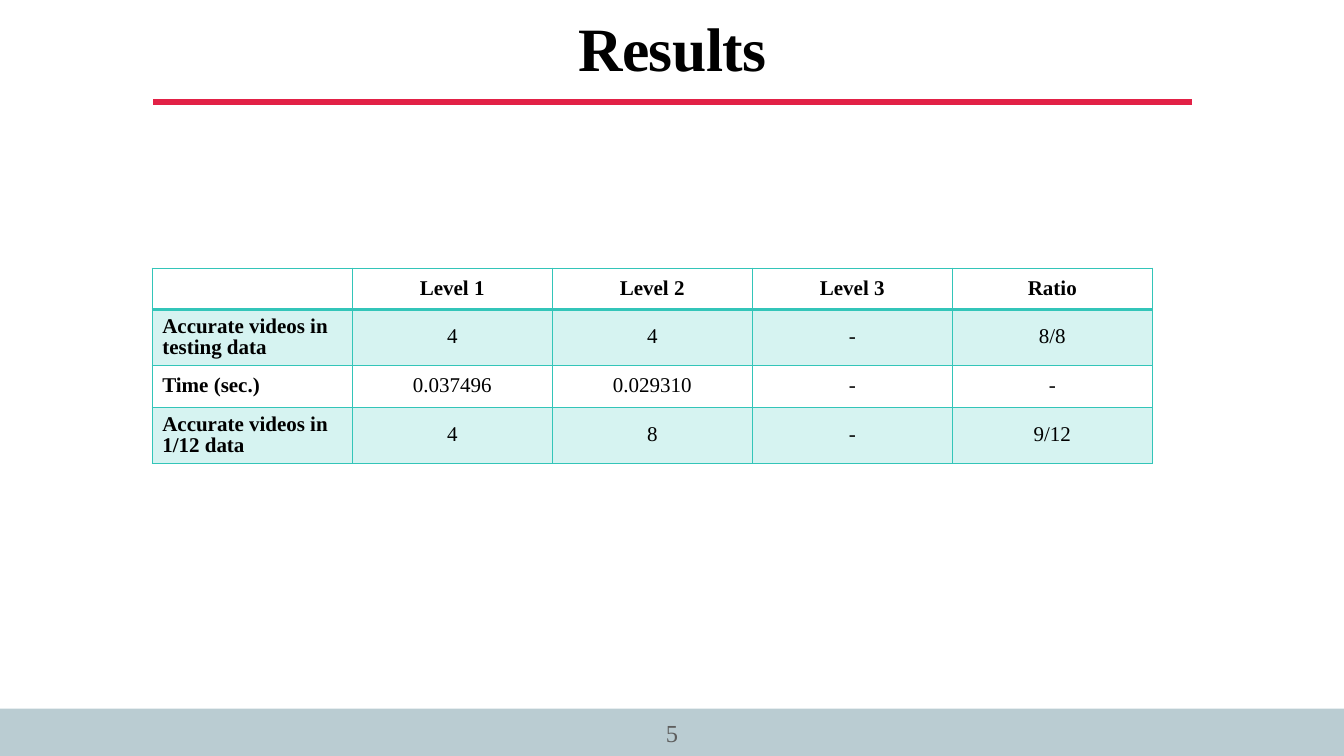
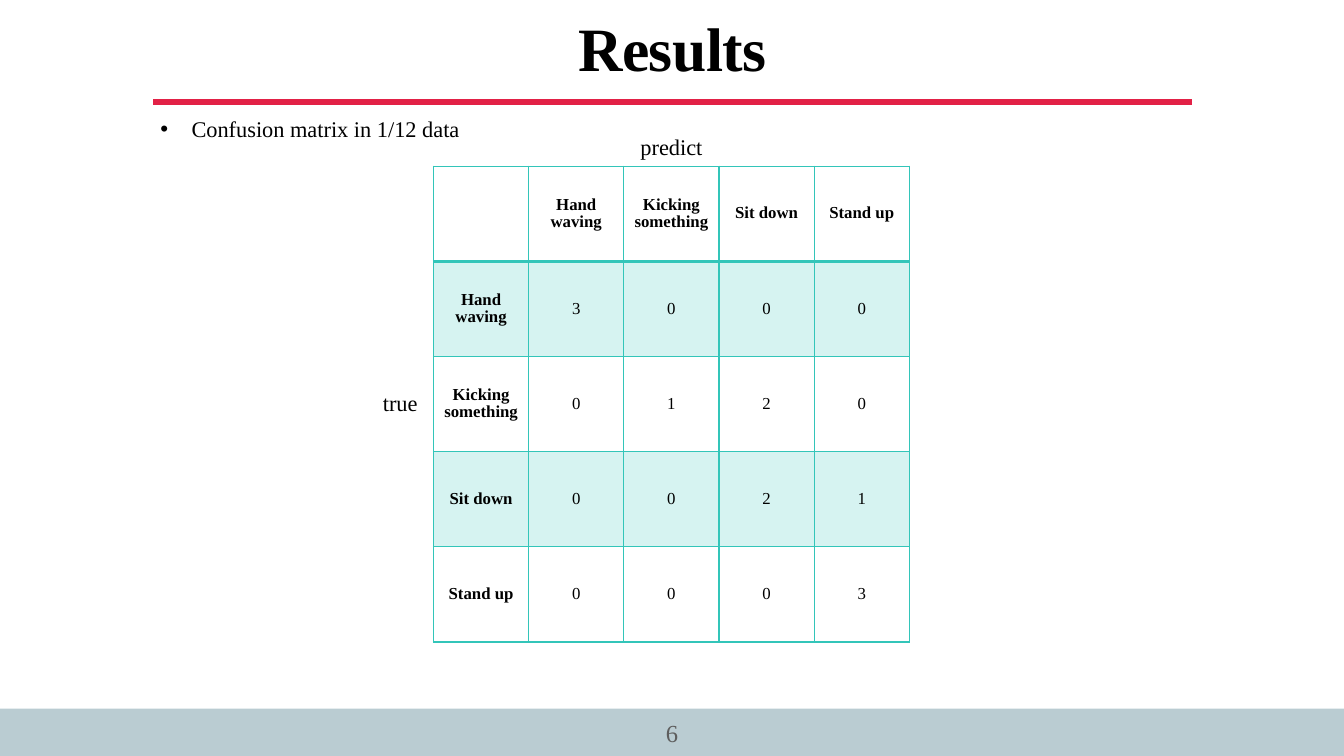
from lxml import etree
from pptx import Presentation
from pptx.dml.color import RGBColor
from pptx.enum import shapes, text
from pptx.oxml import ns
from pptx.util import Inches, Pt

FONT = "Times New Roman"
BLACK, GREY, WHITE = "000000", "5E5E5E", "FFFFFF"
TEAL, RED, BAND = "33C5B9", "E22146", "BACCD2"
SLIDE_W, SLIDE_H = 13.33, 7.5
TITLE_BOX = (1.53, 0.1, 10.28, 0.87)
LABEL_H = 0.35
CENTER, LEFT = text.PP_ALIGN.CENTER, text.PP_ALIGN.LEFT
MIDDLE = text.MSO_ANCHOR.MIDDLE

LEVEL_ROWS = [
    ["", "Level 1", "Level 2", "Level 3", "Ratio"],
    ["Accurate videos in testing data", "4", "4", "-", "8/8"],
    ["Time (sec.)", "0.037496", "0.029310", "-", "-"],
    ["Accurate videos in 1/12 data", "4", "8", "-", "9/12"],
]
ACTIONS = ["Hand waving", "Kicking something", "Sit down", "Stand up"]
COUNTS = [[3, 0, 0, 0], [0, 1, 2, 0], [0, 0, 2, 1], [0, 0, 0, 3]]


def rgb(hex_color):
    return RGBColor.from_string(hex_color)


def inches(*lengths):
    return [Inches(length) for length in lengths]


def add_xml(parent, tag, **attributes):
    return etree.SubElement(parent, ns.qn(tag), attributes)


def write(frame, words, size, color=BLACK, bold=False, align=CENTER, spacing=0.9):
    """Put one formatted run in the first paragraph and return both."""
    paragraph = frame.paragraphs[0]
    paragraph.alignment, paragraph.line_spacing = align, spacing
    run = paragraph.add_run()
    run.text = words
    for name, value in dict(name=FONT, size=Pt(size), bold=bold).items():
        setattr(run.font, name, value)
    run.font.color.rgb = rgb(color)
    return paragraph, run


def format_frame(frame, **changes):
    settings = dict(word_wrap=True, vertical_anchor=MIDDLE,
                    auto_size=text.MSO_AUTO_SIZE.NONE)
    settings.update({f"margin_{side}": Inches(0.06)
                     for side in ("left", "top", "right", "bottom")})
    settings.update(changes)
    for name, value in settings.items():
        setattr(frame, name, value)


def add_label(slide, box, words, size=16, color=BLACK, align=CENTER,
              spacing=0.9, **frame_changes):
    frame = slide.shapes.add_textbox(*inches(*box)).text_frame
    format_frame(frame, **frame_changes)
    return write(frame, words, size, color, align=align, spacing=spacing)[0]


def add_bullet(slide, box, words):
    paragraph = add_label(slide, box, words, align=LEFT)
    properties = paragraph._p.get_or_add_pPr()
    properties.set("marL", str(Inches(0.31)))
    properties.set("indent", str(-Inches(0.31)))
    add_xml(properties, "a:buFont", typeface="Arial")
    add_xml(properties, "a:buChar", char="•")


def add_footer(slide, box, number):
    left, top, width, height = box
    band = slide.shapes.add_shape(shapes.MSO_SHAPE.RECTANGLE, *inches(*box))
    band.shadow.inherit = False
    band.fill.solid()
    band.fill.fore_color.rgb = rgb(BAND)
    band.line.fill.background()
    number_w = 0.4
    number_box = (left + (width - number_w) / 2, top + 0.03, number_w, 0.41)
    add_label(slide, number_box, str(number), 17.5, GREY, spacing=1.0,
              word_wrap=False, vertical_anchor=text.MSO_ANCHOR.BOTTOM)


def add_title(slide, box, words):
    left, top, width, height = box
    title = slide.shapes.title
    title.left, title.top, title.width, title.height = inches(*box)
    format_frame(title.text_frame)
    run = write(title.text_frame, words, 44, bold=True, spacing=0.8)[1]
    run.font._element.set("spc", "-40")

    rule_y = top + height + 0.04
    rule = slide.shapes.add_connector(
        shapes.MSO_CONNECTOR.STRAIGHT,
        *inches(left - 0.01, rule_y, left + width + 0.01, rule_y))
    rule.line.color.rgb = rgb(RED)
    rule.line.width = Pt(4)
    add_xml(rule._element.spPr, "a:effectLst")


def add_results_slide(prs, number):
    slide = prs.slides.add_slide(prs.slide_layouts[5])
    slide.background.fill.solid()
    slide.background.fill.fore_color.rgb = rgb(WHITE)
    add_footer(slide, (0, 7.03, SLIDE_W, SLIDE_H - 7.03), number)
    add_title(slide, TITLE_BOX, "Results")
    return slide


def fill_cell(cell, shaded):
    if not shaded:
        cell.fill.background()
        return
    cell.fill.solid()
    cell.fill.fore_color.rgb = rgb(TEAL)
    for color in cell._tc.tcPr.iter(ns.qn("a:srgbClr")):
        add_xml(color, "a:alpha", val="20000")


def border_cell(cell, top, bottom):
    """Draw the four sides; top and bottom are widths in points."""
    properties = cell._tc.get_or_add_tcPr()
    widths = dict(L=1, R=1, T=top, B=bottom)
    for position, (side, width) in enumerate(widths.items()):
        line = etree.Element(ns.qn(f"a:ln{side}"), w=str(Pt(width)))
        add_xml(add_xml(line, "a:solidFill"), "a:srgbClr", val=TEAL)
        properties.insert(position, line)


def add_grid(slide, left, top, col_w, row_heights, rows, size, stub_align):
    """Add a table with a header row, a stub column and shaded odd rows."""
    columns = len(rows[0])
    table = slide.shapes.add_table(
        len(rows), columns,
        *inches(left, top, col_w * columns, sum(row_heights))).table
    table.horz_banding = False
    for column in table.columns:
        column.width = Inches(col_w)
    for r, (values, height) in enumerate(zip(rows, row_heights)):
        table.rows[r].height = Inches(height)
        for c, value in enumerate(values):
            cell = table.cell(r, c)
            cell.vertical_anchor = MIDDLE
            write(cell.text_frame, str(value), size, bold=r == 0 or c == 0,
                  align=stub_align if c == 0 else CENTER)
            fill_cell(cell, shaded=r % 2 == 1)
            border_cell(cell, top=2 if r == 1 else 1, bottom=2 if r == 0 else 1)


def add_confusion_matrix(slide, left, top, side):
    """Add the square matrix with its axis labels above and to the left."""
    rows = [[""] + ACTIONS]
    rows += [[action] + counts for action, counts in zip(ACTIONS, COUNTS)]
    step = side / len(rows)
    add_grid(slide, left, top, step, [step] * len(rows), rows, 12, CENTER)
    true_w, predict_w = 0.56, 1.07
    add_label(slide, (left - 0.05 - true_w, top + (side - LABEL_H) / 2,
                      true_w, LABEL_H), "true")
    add_label(slide, (left + (side - predict_w) / 2, top - LABEL_H,
                      predict_w, LABEL_H), "predict")


def main():
    prs = Presentation()
    prs.slide_width, prs.slide_height = inches(SLIDE_W, SLIDE_H)

    levels = add_results_slide(prs, 5)
    add_grid(levels, 1.51, 2.66, 1.984, [0.41, 0.56] * 2, LEVEL_ROWS, 15, LEFT)

    confusion = add_results_slide(prs, 6)
    add_confusion_matrix(confusion, 4.3, 1.65, 4.72)
    add_bullet(confusion, (TITLE_BOX[0], 1.12, 3.25, LABEL_H),
               "Confusion matrix in 1/12 data")

    prs.save("out.pptx")


if __name__ == "__main__":
    main()
